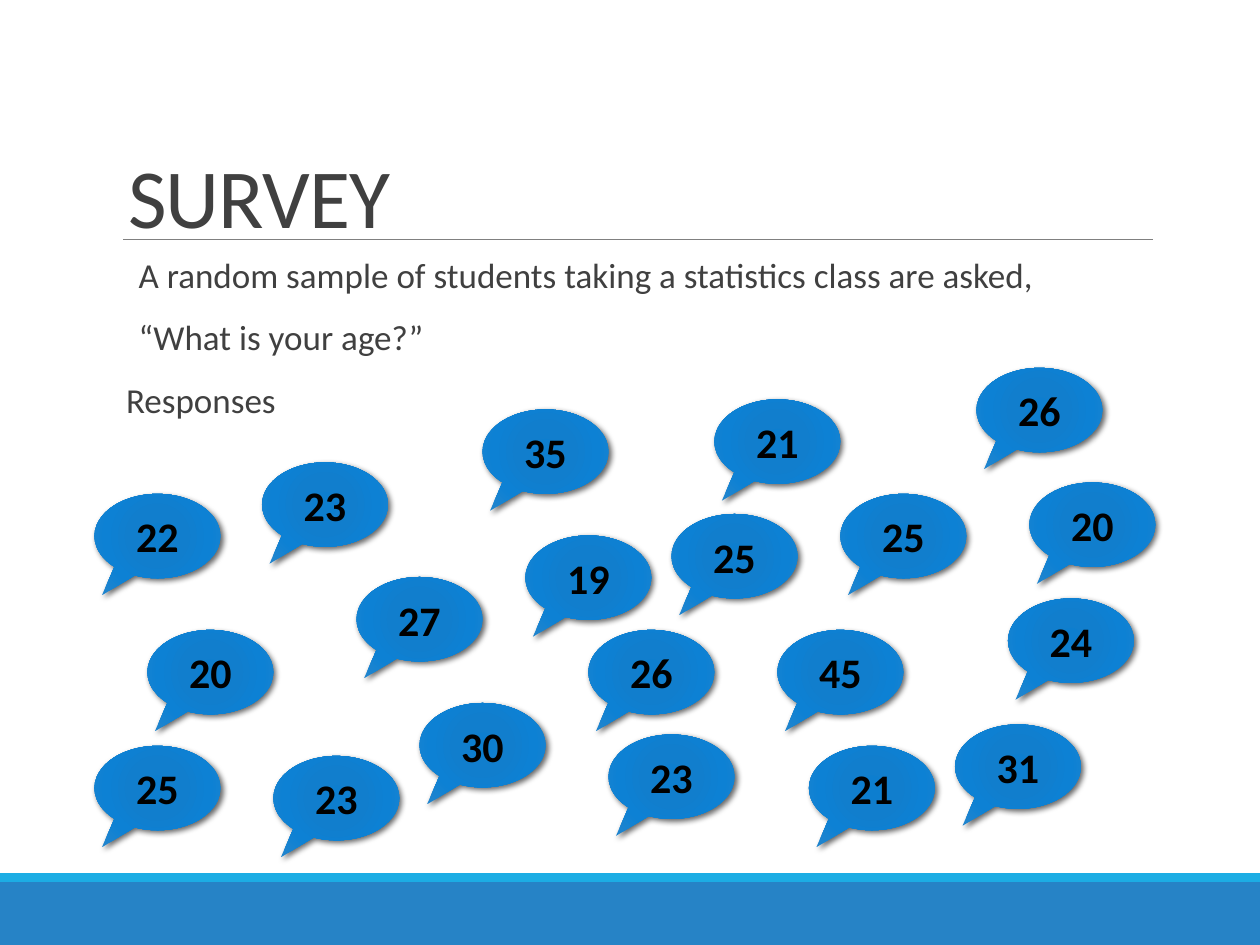
from pptx import Presentation
from pptx.dml.color import RGBColor
from pptx.enum.shapes import MSO_CONNECTOR, MSO_SHAPE
from pptx.enum.text import MSO_ANCHOR, PP_ALIGN
from pptx.oxml import parse_xml
from pptx.oxml.ns import nsdecls, qn
from pptx.util import Inches, Pt
from lxml.etree import SubElement

HUES = {"band": "2683C6", "strip": "1CADE4", "rule": "808080",
        "text": "404040", "age": "000000", "shade": "000000"}
STOPS = [(0, "0D7ECF"), (34, "117ECD"), (70, "0D81D4"), (100, "1E84CE")]

# Left and top in inches, then the age, from back to front
AGES = [
    (2.08, 3.67, 23), (2.83, 4.58, 27), (0.75, 5.92, 25), (7.75, 2.92, 26),
    (0.75, 3.92, 22), (4.83, 5.83, 23), (6.42, 5.92, 21), (8, 4.75, 24),
    (3.33, 5.58, 30), (6.17, 5, 45), (5.67, 3.17, 21), (1.17, 5, 20),
    (6.67, 3.92, 25), (4.17, 4.25, 19), (3.83, 3.25, 35), (2.17, 6, 23),
    (5.33, 4.08, 25), (8.17, 3.83, 20), (7.58, 5.75, 31), (4.67, 5, 26),
]
LINES = [
    ("A random sample of students taking a statistics class are asked,", True),
    ("“What is your age?”", True),
    ("Responses", False),
]


def add_run(para, text, size, hue, bold=False):
    run = para.add_run()
    run.text = text
    run.font.name = "Calibri"
    run.font.size = Pt(size)
    run.font.bold = bold
    run.font.color.rgb = RGBColor.from_string(HUES[hue])
    return run


def style_bubble(shape):
    """Give the shape a round gradient, no outline and a soft shadow."""
    stops = "".join(
        f'<a:gs pos="{pos * 1000}"><a:srgbClr val="{hue}"/></a:gs>'
        for pos, hue in STOPS)
    grad = parse_xml(
        f'<a:gradFill {nsdecls("a")} rotWithShape="1"><a:gsLst>{stops}</a:gsLst>'
        '<a:path path="circle"><a:fillToRect l="100000" t="100000" '
        'r="100000" b="100000"/></a:path></a:gradFill>')
    props = shape.element.spPr
    props.find(qn("a:prstGeom")).addnext(grad)
    shape.line.fill.background()
    shape.shadow.inherit = False
    props.find(qn("a:effectLst")).append(parse_xml(
        f'<a:outerShdw {nsdecls("a")} blurRad="{Pt(3.5)}" dist="{Pt(2)}" '
        f'dir="2700000" rotWithShape="0"><a:srgbClr val="{HUES["shade"]}">'
        '<a:alpha val="60000"/></a:srgbClr></a:outerShdw>'))


prs = Presentation()
prs.slide_width, prs.slide_height = Inches(10), Inches(7.5)
slide = prs.slides.add_slide(prs.slide_layouts[6])
shapes = slide.shapes

# Footer bands and the rule below the title
for top, height, hue in [(7, 0.5, "band"), (6.93, 0.07, "strip")]:
    bar = shapes.add_shape(MSO_SHAPE.RECTANGLE, 0, Inches(top),
                           Inches(10), Inches(height))
    bar.fill.solid()
    bar.fill.fore_color.rgb = RGBColor.from_string(HUES[hue])
    bar.line.fill.background()
    bar.shadow.inherit = False

rule = shapes.add_connector(MSO_CONNECTOR.STRAIGHT, Inches(0.98), Inches(1.9),
                            Inches(9.15), Inches(1.9))
rule.line.color.rgb = RGBColor.from_string(HUES["rule"])
rule.line.width = Pt(0.5)
SubElement(rule.element.spPr, qn("a:effectLst"))

# Title
title = shapes.add_textbox(Inches(0.92), Inches(0.75), Inches(8.5), Inches(1.25))
frame = title.text_frame
frame.word_wrap = True
frame.vertical_anchor = MSO_ANCHOR.BOTTOM
para = frame.paragraphs[0]
para.line_spacing = 0.85
run = add_run(para, "SURVEY", 48, "text")
run.font._element.set("spc", "-50")

# Question
body = shapes.add_textbox(Inches(1), Inches(2), Inches(8.42), Inches(4.67))
frame = body.text_frame
frame.word_wrap = True
frame.margin_left = frame.margin_right = 0
for i, (text, mark) in enumerate(LINES):
    para = frame.add_paragraph() if i else frame.paragraphs[0]
    para.line_spacing = 0.9
    para.space_before, para.space_after = Pt(12), Pt(2)
    props = para._p.get_or_add_pPr()
    props.set("marL", str(Inches(0.1)))
    props.set("indent", str(-Inches(0.1)))
    if mark:
        tint = SubElement(props, qn("a:buClr"))
        SubElement(tint, qn("a:srgbClr"), val=HUES["strip"])
        SubElement(props, qn("a:buFont"), typeface="Calibri")
        SubElement(props, qn("a:buChar"), char=" ")
    else:
        SubElement(props, qn("a:buNone"))
    add_run(para, text, 20, "text")

# Responses
for left, top, age in AGES:
    bubble = shapes.add_shape(MSO_SHAPE.OVAL_CALLOUT, Inches(left), Inches(top),
                              Inches(1), Inches(0.67))
    bubble.adjustments[0], bubble.adjustments[1] = -0.44, 0.7
    style_bubble(bubble)
    frame = bubble.text_frame
    frame.word_wrap = True
    frame.vertical_anchor = MSO_ANCHOR.MIDDLE
    para = frame.paragraphs[0]
    para.alignment = PP_ALIGN.CENTER
    add_run(para, str(age), 24, "age", bold=True)

prs.save("out.pptx")
